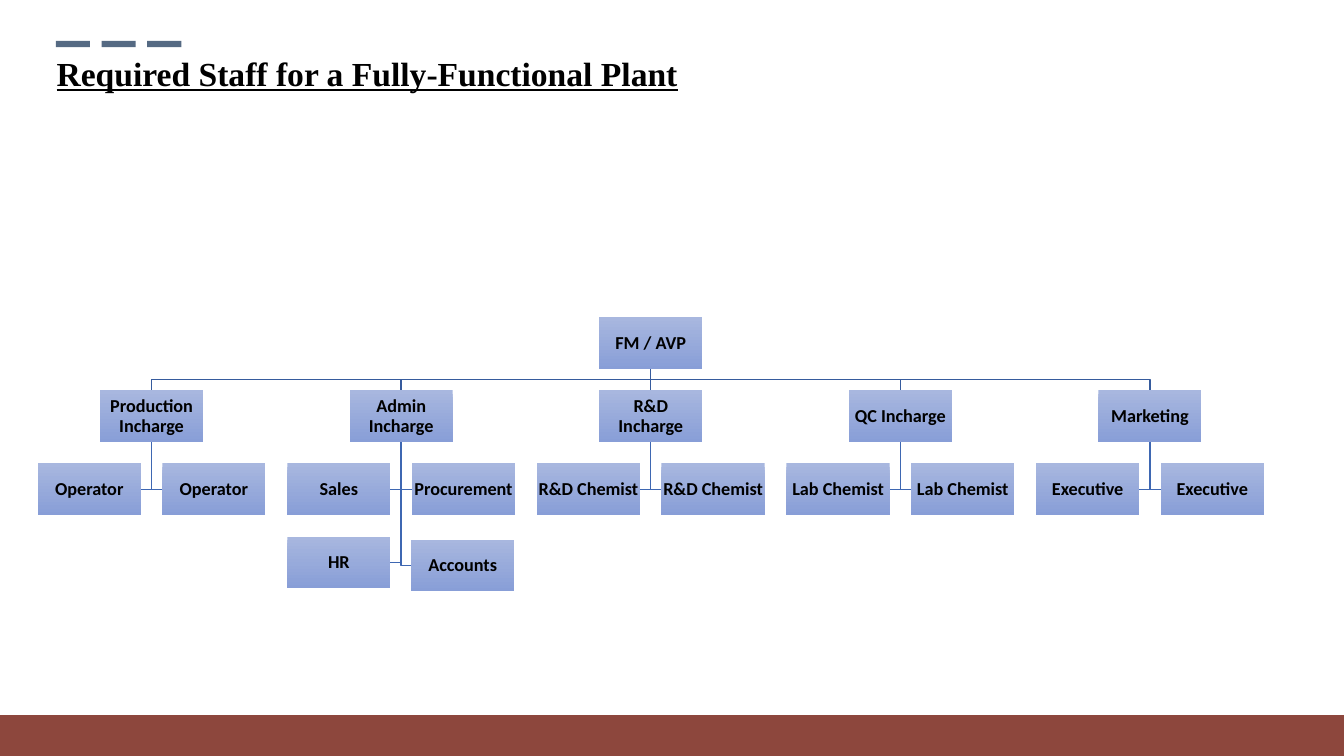
from lxml import etree
from pptx import Presentation
from pptx import util as u
from pptx.dml.color import RGBColor
from pptx.enum import shapes, text
from pptx.oxml import ns

BLACK = RGBColor(0x00, 0x00, 0x00)
BRICK = RGBColor(0x7F, 0x31, 0x26)
SLATE = RGBColor(0x55, 0x6A, 0x83)
BOX_TOP = RGBColor(0xA8, 0xB7, 0xDF)
BOX_BOTTOM = RGBColor(0x88, 0x9E, 0xD7)
UPPER_WIRE = RGBColor(0x36, 0x5B, 0x9D)
LOWER_WIRE = RGBColor(0x3E, 0x67, 0xB2)

# Chart grid, in centimetres
BOX_W, BOX_H = 2.6, 1.3
FIRST_CENTRE, COLUMN_STEP = 3.82, 6.29
FIRST_ROW, ROW_STEP = 8.0, 1.84
STAFF_OFFSET = 1.57

HEAD = "FM / AVP"
DEPARTMENTS = [
    ("Production Incharge", ["Operator", "Operator"]),
    ("Admin Incharge", ["Sales", "Procurement", "HR", "Accounts"]),
    ("R&D Incharge", ["R&D Chemist", "R&D Chemist"]),
    ("QC Incharge", ["Lab Chemist", "Lab Chemist"]),
    ("Marketing", ["Executive", "Executive"]),
]
NUDGES = {"Accounts": (-0.02, 0.08)}


class StaffPage:
    title_font = "Times New Roman"
    box_font = "Calibri"

    def __init__(self, deck):
        self.page = deck.slides.add_slide(deck.slide_layouts[5])

    def title(self, words, left, top, width, height):
        box = self.page.shapes.title
        box.left, box.top = u.Cm(left), u.Cm(top)
        box.width, box.height = u.Cm(width), u.Cm(height)
        frame = box.text_frame
        frame.text = words
        frame.word_wrap = True
        frame.auto_size = text.MSO_AUTO_SIZE.SHAPE_TO_FIT_TEXT
        frame.vertical_anchor = text.MSO_ANCHOR.TOP
        para = frame.paragraphs[0]
        para.alignment = text.PP_ALIGN.LEFT
        para.line_spacing = 1.0
        para.space_before = u.Pt(0)
        self.style(para, self.title_font, 24)
        para.font.underline = True

    def style(self, para, font, size):
        para.font.name = font
        para.font.size = u.Pt(size)
        para.font.bold = True
        para.font.color.rgb = BLACK

    def rectangle(self, left, top, width, height, color=None, opacity=100):
        box = self.page.shapes.add_shape(
            shapes.MSO_SHAPE.RECTANGLE,
            u.Cm(left), u.Cm(top), u.Cm(width), u.Cm(height))
        box.shadow.inherit = False
        box.line.fill.background()
        if color is not None:
            box.fill.solid()
            box.fill.fore_color.rgb = color
        if opacity < 100:
            tint = box.fill._xPr.find(".//" + ns.qn("a:srgbClr"))
            etree.SubElement(tint, ns.qn("a:alpha"), val=str(opacity * 1000))
        return box

    def role(self, words, centre, top):
        box = self.rectangle(centre - BOX_W / 2, top, BOX_W, BOX_H)
        box.fill.gradient()
        box.fill.gradient_angle = 270
        for stop, color in zip(box.fill.gradient_stops, (BOX_TOP, BOX_BOTTOM)):
            stop.color.rgb = color
        frame = box.text_frame
        frame.text = words
        frame.word_wrap = True
        frame.vertical_anchor = text.MSO_ANCHOR.MIDDLE
        frame.margin_left = frame.margin_right = u.Cm(0.02)
        frame.margin_top = frame.margin_bottom = u.Cm(0.02)
        para = frame.paragraphs[0]
        para.alignment = text.PP_ALIGN.CENTER
        para.line_spacing = 0.9
        self.style(para, self.box_font, 13)

    def wire(self, points, color):
        start, *rest = [(u.Cm(x), u.Cm(y)) for x, y in points]
        builder = self.page.shapes.build_freeform(*start)
        builder.add_line_segments(rest, close=False)
        line = builder.convert_to_shape()
        line.shadow.inherit = False
        line.fill.background()
        line.line.color.rgb = color
        line.line.width = u.Pt(1)


def row_top(row):
    return FIRST_ROW + row * ROW_STEP


def staff_place(index, name, centre):
    """Centre and top of a staff box: left and right of the trunk in turn."""
    right, down = NUDGES.get(name, (0, 0))
    side = 1 if index % 2 else -1
    return centre + side * STAFF_OFFSET + right, row_top(2 + index // 2) + down


def main():
    deck = Presentation()
    deck.slide_width, deck.slide_height = u.Cm(33.87), u.Cm(19.05)
    sheet = StaffPage(deck)

    # Footer band, dashes and title
    sheet.rectangle(0, 18.02, 33.87, 1.03, BRICK, opacity=89)
    for dash in range(3):
        sheet.rectangle(1.41 + dash * 1.15, 1.03, 0.86, 0.16, SLATE)
    sheet.title("Required Staff for a Fully-Functional Plant",
                1.17, 1.2, 19.84, 1.28)

    # Wires, drawn before the boxes
    centres = [FIRST_CENTRE + i * COLUMN_STEP for i in range(len(DEPARTMENTS))]
    middle = centres[len(centres) // 2]
    head_foot, lead_top = row_top(0) + BOX_H, row_top(1)
    bus = (head_foot + lead_top) / 2
    for centre, (lead, staff) in zip(centres, DEPARTMENTS):
        sheet.wire([(middle, head_foot), (middle, bus),
                    (centre, bus), (centre, lead_top)], UPPER_WIRE)
        for index, name in enumerate(staff):
            x, top = staff_place(index, name, centre)
            edge = x + (BOX_W / 2 if x < centre else -BOX_W / 2)
            level = top + BOX_H / 2
            sheet.wire([(centre, lead_top + BOX_H), (centre, level),
                        (edge, level)], LOWER_WIRE)

    # Boxes
    sheet.role(HEAD, middle, row_top(0))
    for centre, (lead, staff) in zip(centres, DEPARTMENTS):
        sheet.role(lead, centre, lead_top)
        for index, name in enumerate(staff):
            sheet.role(name, *staff_place(index, name, centre))

    deck.save("out.pptx")


if __name__ == "__main__":
    main()
